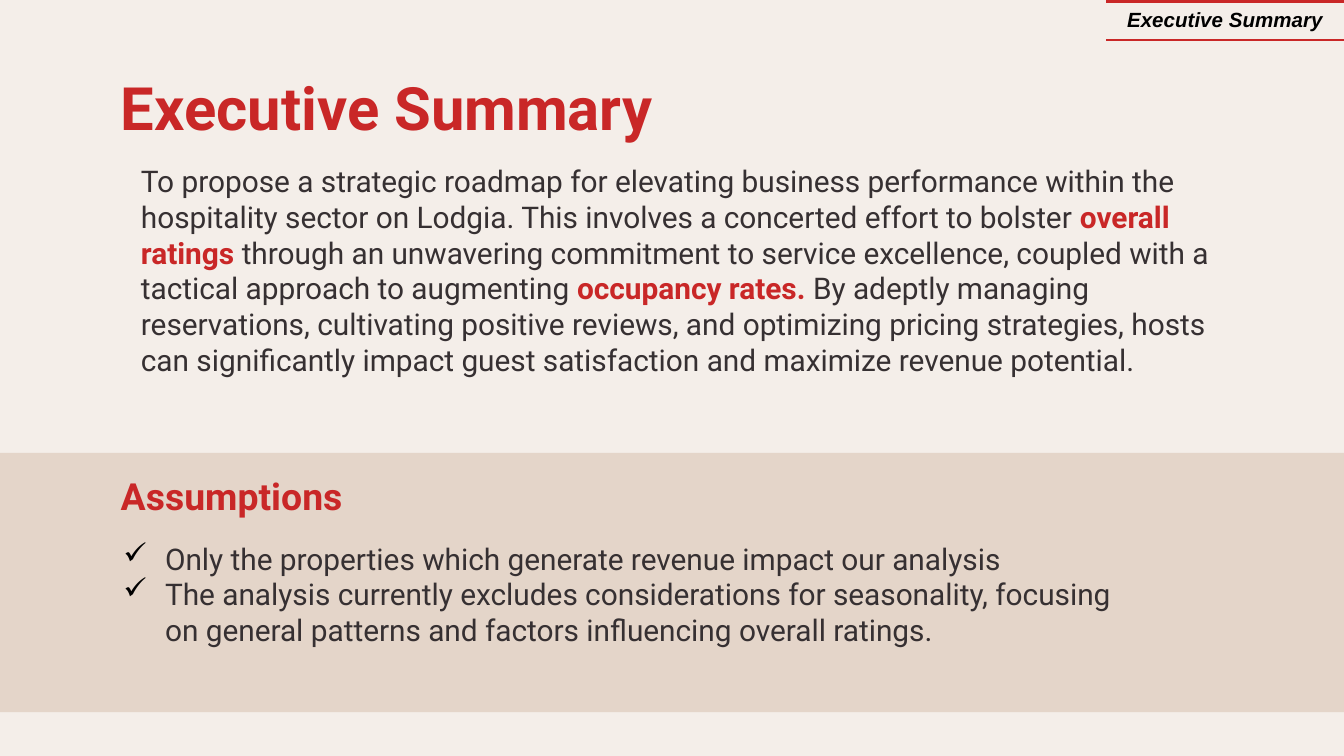
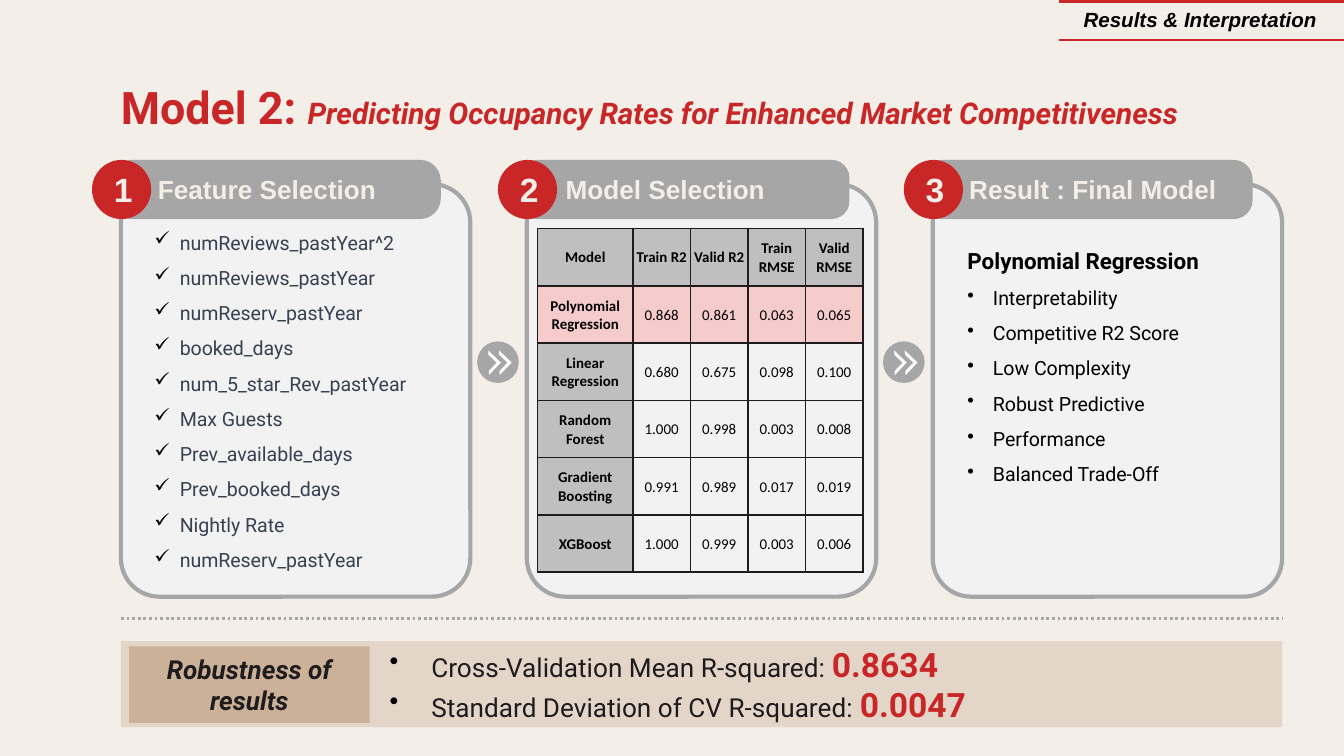
from dataclasses import dataclass, replace
from typing import NamedTuple

from lxml import etree
from pptx import Presentation, util as u
from pptx.dml.color import RGBColor
from pptx.enum import dml, shapes, text
from pptx.oxml.ns import qn

HUES = {
    "page": "F4EEE9", "band": "E4D5C9", "tan": "CCB199", "red": "C92727",
    "pink": "F6CBCB", "gray": "A6A6A6", "head": "BFBFBF", "pale": "F2F2F2",
    "white": "FFFFFF", "black": "000000", "ink": "1E1B1C", "body": "363032",
    "slate": "374151",
}
COLS = 100
WIDE = u.Inches(10)
TALL = WIDE * 9 // 16
UNIT = WIDE / COLS  # side of a square grid cell
PITCH = 30.2        # columns from one step to the next
EDGE, SPAN = 9, 86.4
KIND = shapes.MSO_SHAPE
MID, TOP = text.MSO_ANCHOR.MIDDLE, text.MSO_ANCHOR.TOP
LEFT, MIDST, RIGHT = text.PP_ALIGN.LEFT, text.PP_ALIGN.CENTER, text.PP_ALIGN.RIGHT
PAD = (1, 0.5, 1, 0.5)
EVEN = (1, 1, 1, 1)


class Box(NamedTuple):
    """Left, top, width and height in grid columns and rows."""
    x: float
    y: float
    w: float
    h: float

    def emu(self) -> tuple:
        return tuple(grid(n) for n in self)

    def shift(self, cols: float) -> "Box":
        return self._replace(x=self.x + cols)


@dataclass(frozen=True)
class Style:
    size: float
    hue: str
    bold: bool = False
    slant: bool = False
    face: str = "Roboto"


@dataclass(frozen=True)
class Para:
    runs: tuple
    mark: str = ""
    inset: float = 0
    lead: float = 0
    align: text.PP_ALIGN = LEFT


@dataclass(frozen=True)
class Step:
    name: str
    head: float   # left edge of the heading, from the panel
    curve: float


TITLE = Style(32, "red", True)
BODY = Style(16, "body")
STRONG = replace(BODY, hue="red", bold=True)
TAG = Style(11, "black", True, True, "Arial")
HEAD = Style(14, "page", True, face="Arial")
COUNT = replace(HEAD, size=18)
CELL = Style(8, "black", face="Calibri")
NOTE = Style(14, "ink")
SCORE = Style(18, "red", True)
POINT = Style(10.5, "black")

STEPS = (Step("Feature Selection", -0.7, 0.35),
         Step("Model Selection", -0.5, 0.3),
         Step("Result : Final Model", -0.7, 0.32))
TRAITS = ("numReviews_pastYear^2", "numReviews_pastYear", "numReserv_pastYear",
          "booked_days", "num_5_star_Rev_pastYear", "Max Guests",
          "Prev_available_days", "Prev_booked_days", "Nightly Rate",
          "numReserv_pastYear")
GAINS = ("Interpretability", "Competitive R2 Score", "Low Complexity",
         "Robust Predictive", "Performance", "Balanced Trade-Off")
SCORES = (
    ("Model", "Train R2", "Valid R2", "Train RMSE", "Valid RMSE"),
    ("Polynomial Regression", "0.868", "0.861", "0.063", "0.065"),
    ("Linear Regression", "0.680", "0.675", "0.098", "0.100"),
    ("Random Forest", "1.000", "0.998", "0.003", "0.008"),
    ("Gradient Boosting", "0.991", "0.989", "0.017", "0.019"),
    ("XGBoost", "1.000", "0.999", "0.003", "0.006"),
)


def grid(cells: float) -> int:
    return round(cells * UNIT)


def rgb(hue: str) -> RGBColor:
    return RGBColor.from_string(HUES[hue])


def paint(fill, hue: str) -> None:
    fill.solid()
    fill.fore_color.rgb = rgb(hue)


def tint(node, hue: str) -> None:
    etree.SubElement(node, qn("a:srgbClr"), val=HUES[hue])


def plain(words: str, style: Style, **more) -> Para:
    return Para(((words, style),), **more)


def dress(font, style: Style) -> None:
    font.name, font.size = style.face, u.Pt(style.size)
    font.bold, font.italic = style.bold, style.slant
    font.color.rgb = rgb(style.hue)


def write(frame, paras, pad=PAD, anchor=TOP) -> None:
    frame.word_wrap = True
    frame.auto_size = text.MSO_AUTO_SIZE.NONE
    frame.vertical_anchor = anchor
    (frame.margin_left, frame.margin_top,
     frame.margin_right, frame.margin_bottom) = map(grid, pad)
    fill_in(frame, paras)


def fill_in(frame, paras) -> None:
    for i, para in enumerate(paras):
        line = frame.add_paragraph() if i else frame.paragraphs[0]
        line.alignment = para.align
        if para.lead:
            line.line_spacing = para.lead
        if para.inset:
            props = line._p.get_or_add_pPr()
            props.set("marL", str(grid(para.inset)))
            props.set("indent", str(-grid(para.inset) if para.mark else 0))
            if para.mark:
                tint(etree.SubElement(props, qn("a:buClr")), "black")
                etree.SubElement(props, qn("a:buChar"), char=para.mark)
        same = len({style for _, style in para.runs}) == 1
        if same:
            dress(line.font, para.runs[0][1])
        for words, style in para.runs:
            run = line.add_run()
            run.text = words
            if not same:
                dress(run.font, style)


def shape(pool, kind, box: Box, hue: str, edge: str = "", bends=()):
    item = pool.add_shape(kind, *box.emu())
    item.shadow.inherit = False
    paint(item.fill, hue)
    if edge:
        item.line.color.rgb = rgb(edge)
        item.line.width = u.Pt(2.25)
    else:
        item.line.fill.background()
    for i, bend in enumerate(bends):
        item.adjustments[i] = bend
    return item


def label(slide, box: Box, paras, **more) -> None:
    write(slide.shapes.add_textbox(*box.emu()).text_frame, paras, **more)


def border(cell, sides: str, hue: str, size: float) -> None:
    """Draw the named sides of a cell and clear the others."""
    props = cell._tc.get_or_add_tcPr()
    for side in "LRTB":
        line = etree.SubElement(props, qn(f"a:ln{side}"), w=str(u.Pt(size)))
        if side in sides:
            tint(etree.SubElement(line, qn("a:solidFill")), hue)
        else:
            etree.SubElement(line, qn("a:noFill"))


def table(slide, box: Box, rows: int, cols: int):
    item = slide.shapes.add_table(rows, cols, *box.emu()).table
    item.first_row = item.horz_banding = False
    return item


def fit(cell, para: Para, pad) -> None:
    cell.vertical_anchor = MID
    (cell.margin_left, cell.margin_top,
     cell.margin_right, cell.margin_bottom) = map(grid, pad)
    fill_in(cell.text_frame, [para])


def start(deck, title: Para, tag: str, width: float, align, pad=PAD):
    """Add a slide with its title and its corner tag."""
    slide = deck.slides.add_slide(deck.slide_layouts[5])
    head = slide.shapes.title
    head.left, head.top, head.width, head.height = Box(8, 4.8, 84.3, 6.3).emu()
    write(head.text_frame, [title], EVEN, MID)
    cell = table(slide, Box(COLS - width, 0.1, width, 2.9), 1, 1).cell(0, 0)
    border(cell, "TB", "red", 1.5)
    cell.fill.background()
    fit(cell, plain(tag, TAG, align=align), pad)
    return slide


def summary(deck) -> None:
    slide = start(deck, plain("Executive Summary", TITLE),
                  "Executive Summary", 17.7, MIDST)
    shape(slide.shapes, KIND.RECTANGLE, Box(0, 33.7, COLS, 19.3), "band")
    label(slide, Box(8, 33.7, 84.3, 6.3),
          [plain("Assumptions", replace(TITLE, size=20))], pad=EVEN, anchor=MID)
    label(slide, Box(8.2, 39.7, 76.3, 9.1), [
        plain(words, BODY, mark="✓", inset=3.1) for words in (
            "Only the properties which generate revenue impact our analysis",
            "The analysis currently excludes considerations for seasonality, "
            "focusing on general patterns and factors influencing overall ratings.")])
    goal = (
        ("To propose a strategic roadmap for elevating business performance "
         "within the hospitality sector on Lodgia. This involves a concerted "
         "effort to bolster ", BODY),
        ("overall ratings ", STRONG),
        ("through an unwavering commitment to service excellence, coupled with "
         "a tactical approach to augmenting ", BODY),
        ("occupancy rates. ", STRONG),
        ("By adeptly managing reservations, cultivating positive reviews, and "
         "optimizing pricing strategies, hosts can significantly impact guest "
         "satisfaction and maximize revenue potential.", BODY))
    label(slide, Box(8, 11.1, 84.1, 21.4), [Para(goal, inset=1.5)], pad=EVEN)


def panel(slide, i: int, step: Step) -> None:
    left = EDGE + i * PITCH
    pool = slide.shapes
    shape(pool, KIND.ROUNDED_RECTANGLE, Box(left, 13.7, 26, 30.7),
          "pale", "gray", [0.11])
    head = shape(pool, KIND.ROUNDED_RECTANGLE,
                 Box(left + step.head, 11.9, 24.5, 4.4), "gray", bends=[step.curve])
    write(head.text_frame, [plain(step.name, HEAD)], (3, 0.5, 1, 0.5), MID)
    disc = shape(pool, KIND.OVAL, Box(left - 2.15, 11.9, 4.4, 4.4), "red")
    write(disc.text_frame, [plain(str(i + 1), COUNT, align=MIDST)], anchor=MID)


def arrow(slide, i: int) -> None:
    """Draw the double chevron that follows step i."""
    pool = slide.shapes.add_group_shape().shapes
    shape(pool, KIND.OVAL, Box(35.5, 25.4, 3.1, 3.1).shift(i * PITCH), "gray")
    for left in (35.7, 36.5):
        wing = shape(pool, KIND.HALF_FRAME,
                     Box(left, 26.35, 1.3, 1.3).shift(i * PITCH),
                     "white", bends=[0.17, 0.17])
        wing.rotation = 133.8


def ranks(slide) -> None:
    item = table(slide, Box(40, 17, 24.2, 25.6), len(SCORES), len(SCORES[0]))
    for c, col in enumerate(item.columns):
        col.width = grid(4.28 if c else 7.1)
    for r, row in enumerate(SCORES):
        for c, words in enumerate(row):
            cell = item.cell(r, c)
            lead = r == 0 or c == 0
            border(cell, "LRTB", "ink", 1)
            if r == 1:
                paint(cell.fill, "pink")
            elif lead:
                paint(cell.fill, "head")
            else:
                cell.fill.background()
            fit(cell, plain(words, replace(CELL, bold=lead), align=MIDST),
                (0.1, 0.1, 0.1, 0))


def rule(slide) -> None:
    line = slide.shapes.add_connector(
        shapes.MSO_CONNECTOR.STRAIGHT, grid(EDGE), grid(46),
        grid(EDGE + SPAN), grid(46))
    line.line.color.rgb = rgb("gray")
    line.line.width = u.Pt(1.5)
    line.line.dash_style = dml.MSO_LINE.ROUND_DOT
    etree.SubElement(line._element.spPr, qn("a:effectLst"))


def results(deck) -> None:
    title = Para((("Model 2: ", replace(TITLE, size=24)),
                  ("Predicting Occupancy Rates for Enhanced Market Competitiveness",
                   replace(STRONG, slant=True))))
    slide = start(deck, title, "Results & Interpretation", 21.2, RIGHT,
                  (1, 0.5, 2, 0.5))
    for i, step in enumerate(STEPS):
        panel(slide, i, step)
    for i in range(len(STEPS) - 1):
        arrow(slide, i)
    label(slide, Box(10.5, 15.8, 22.7, 27.2), [
        plain(words, replace(POINT, hue="slate"), mark="✓", inset=1.9, lead=1.5)
        for words in TRAITS])
    ranks(slide)
    label(slide, Box(71, 16.9, 22.7, 19.7), [
        plain("Polynomial Regression", replace(POINT, size=12, bold=True), lead=1.5),
        *(plain(words, POINT, mark="•", inset=1.9, lead=1.5) for words in GAINS)])
    rule(slide)
    band = shape(slide.shapes, KIND.RECTANGLE, Box(EDGE, 47.7, SPAN, 6.4), "band")
    write(band.text_frame, [
        Para(((words, NOTE), (score, SCORE)), mark="•", inset=3.1)
        for words, score in (("Cross-Validation Mean R-squared: ", "0.8634"),
                             ("Standard Deviation of CV R-squared: ", "0.0047"))],
        (20, 0.5, 1, 0.5), MID)
    name = shape(slide.shapes, KIND.RECTANGLE, Box(9.6, 48.1, 17.9, 5.7), "tan")
    write(name.text_frame, [plain("Robustness of results",
                                  replace(NOTE, bold=True, slant=True), align=MIDST)])


def main() -> None:
    deck = Presentation()
    deck.slide_width, deck.slide_height = WIDE, TALL
    paint(deck.slide_master.background.fill, "page")
    summary(deck)
    results(deck)
    deck.save("out.pptx")


if __name__ == "__main__":
    main()
